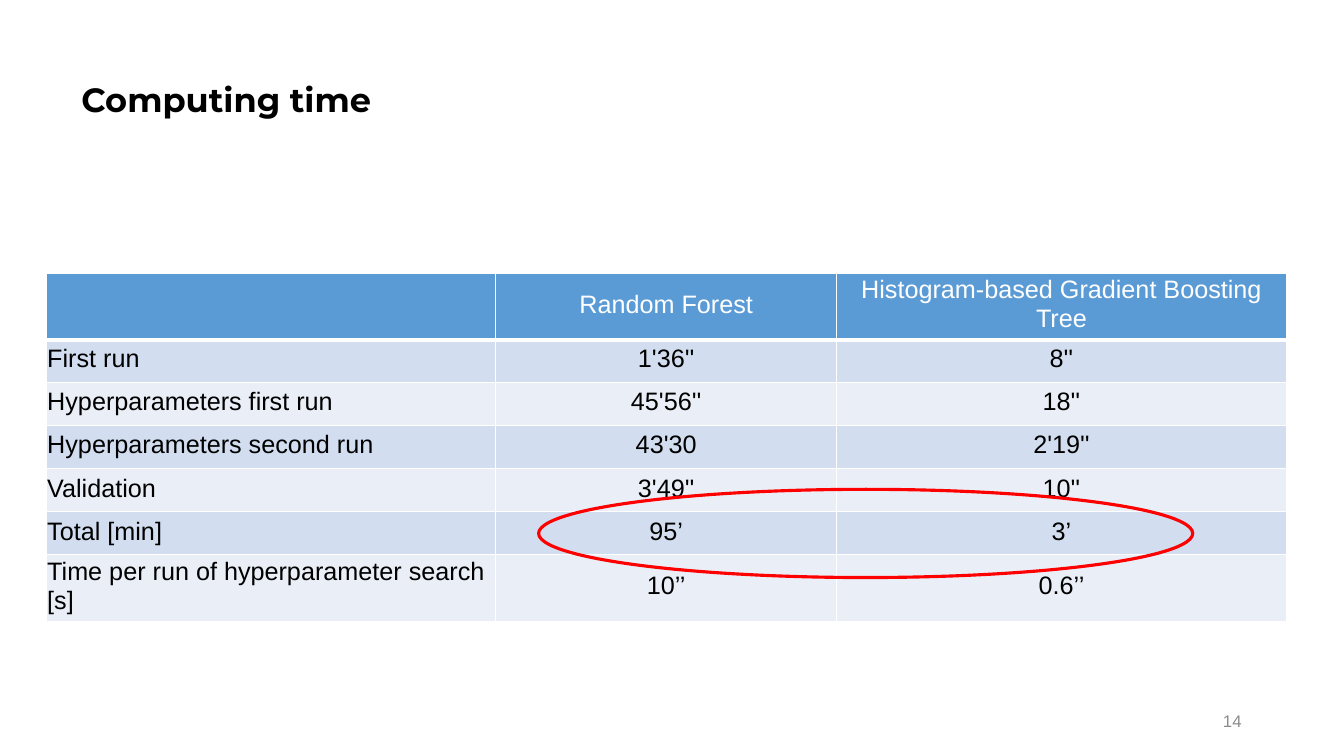
import pptx
import pptx.util
import pptx.dml.color
import pptx.enum.shapes
import pptx.enum.text
import pptx.oxml
import pptx.oxml.ns

PX = 9525  # EMU per px, 96 px to the inch
ALIGN = pptx.enum.text.PP_ALIGN
MIDDLE = pptx.enum.text.MSO_ANCHOR.MIDDLE

HEADER_FILL = "5B9BD5"
BAND_FILLS = ["D2DEEF", "EAEFF7"]
COL_WIDTHS = [428, 325, 428]
ROW_HEIGHT = 41
TIMES = [
    ["", "Random Forest", "Histogram-based Gradient Boosting Tree"],
    ["First run", "1'36''", "8''"],
    ["Hyperparameters first run", "45'56''", "18''"],
    ["Hyperparameters second run", "43'30", "2'19''"],
    ["Validation", "3'49''", "10''"],
    ["Total [min]", "95’", "3’"],
    ["Time per run of hyperparameter search [s]", "10’’", "0.6’’"],
]


def px(*values):
    return [pptx.util.Emu(v * PX) for v in values]


def rgb(value):
    return pptx.dml.color.RGBColor.from_string(value)


def write(tf, text, size=18, font="Arial", color="000000", bold=False,
          align=ALIGN.LEFT, spacing=None):
    tf.word_wrap = True
    p = tf.paragraphs[0]
    p.alignment = align
    p.line_spacing = spacing
    r = p.add_run()
    r.text = text
    r.font.size = pptx.util.Pt(size)
    r.font.name = font
    r.font.bold = bold
    r.font.color.rgb = rgb(color)


def add_text(s, box, text, **fmt):
    tf = s.shapes.add_textbox(*px(*box)).text_frame
    tf.vertical_anchor = MIDDLE
    write(tf, text, **fmt)


def set_borders(cell, color, bottom):
    # Border lines must come before the fill in the cell properties
    tcPr = cell._tc.get_or_add_tcPr()
    widths = {"lnL": 1, "lnR": 1, "lnT": 1, "lnB": bottom}
    for i, (side, width) in enumerate(widths.items()):
        ln = pptx.oxml.parse_xml(
            f'<a:{side} {pptx.oxml.ns.nsdecls("a")} w="{pptx.util.Pt(width)}">'
            f'<a:solidFill><a:srgbClr val="{color}"/></a:solidFill></a:{side}>')
        tcPr.insert(i, ln)


def format_cell(cell, text, row, col):
    header = row == 0
    cell.fill.solid()
    cell.fill.fore_color.rgb = rgb(HEADER_FILL if header else BAND_FILLS[(row - 1) % 2])
    cell.vertical_anchor = MIDDLE
    cell.margin_left, cell.margin_right, cell.margin_top, cell.margin_bottom = px(1, 1, 1, 5)
    write(cell.text_frame, text, color="FFFFFF" if header else "000000",
          align=ALIGN.CENTER if col else ALIGN.LEFT)
    set_borders(cell, "FFFFFF", bottom=3 if header else 1)


def add_times_table(s, left, top, rows):
    box = px(left, top, sum(COL_WIDTHS), ROW_HEIGHT * len(rows))
    table = s.shapes.add_table(len(rows), len(COL_WIDTHS), *box).table
    for column, width in zip(table.columns, px(*COL_WIDTHS)):
        column.width = width
    for i, texts in enumerate(rows):
        table.rows[i].height = px(ROW_HEIGHT)[0]
        for j, text in enumerate(texts):
            format_cell(table.cell(i, j), text, i, j)


def add_ring(s, box, color, width):
    sp = s.shapes.add_shape(pptx.enum.shapes.MSO_SHAPE.OVAL, *px(*box))
    sp.shadow.inherit = False
    sp.fill.background()
    sp.line.color.rgb = rgb(color)
    sp.line.width = pptx.util.Pt(width)


def main():
    prs = pptx.Presentation()
    prs.slide_width, prs.slide_height = px(1280, 720)
    s = prs.slides.add_slide(prs.slide_layouts[6])

    # Title
    add_text(s, (68, 27, 1104, 139), "Computing time", size=24,
             font="Montserrat", bold=True, spacing=0.9)

    # Computing times per model
    add_times_table(s, 44, 260, TIMES)

    # Slide number
    add_text(s, (904, 667, 288, 38), "14", size=12, color="8C8C8C", align=ALIGN.RIGHT)

    # Ring around the totals
    add_ring(s, (513, 466, 623, 84), "FF0000", 2.25)

    prs.save("out.pptx")


if __name__ == "__main__":
    main()
